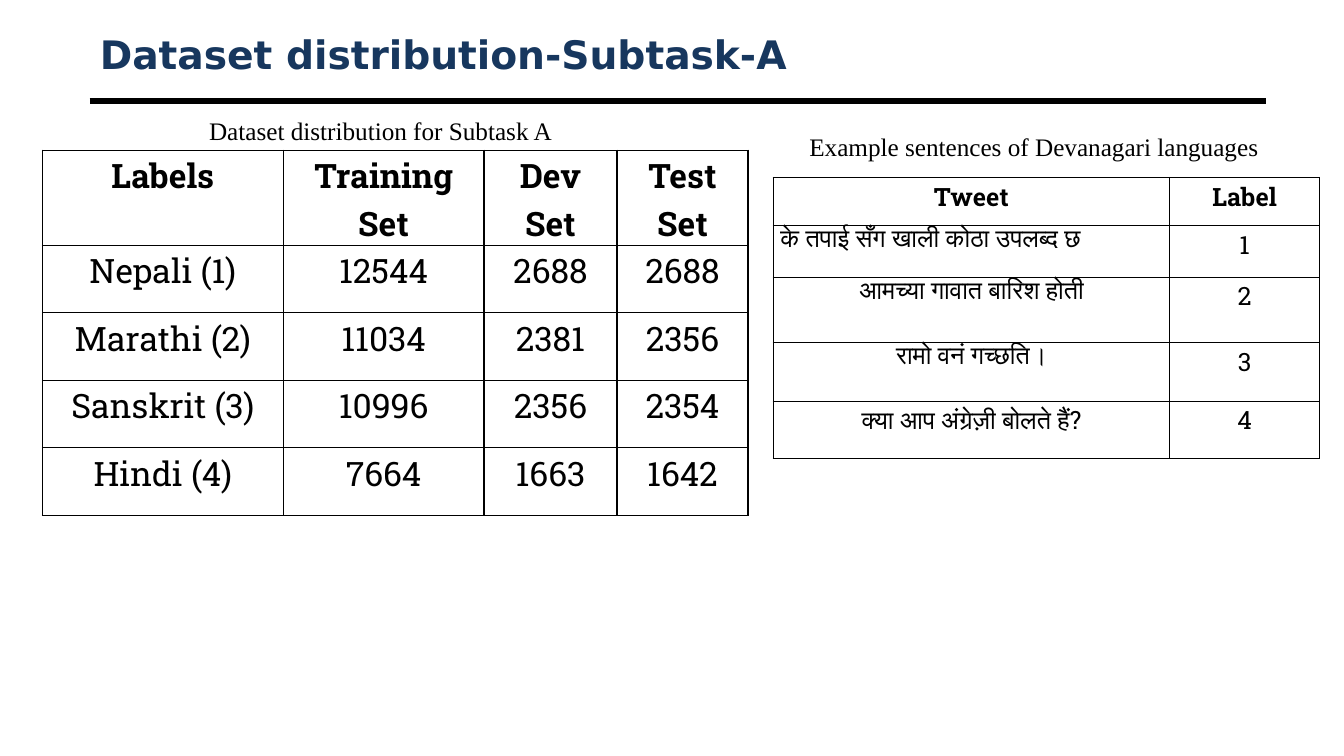
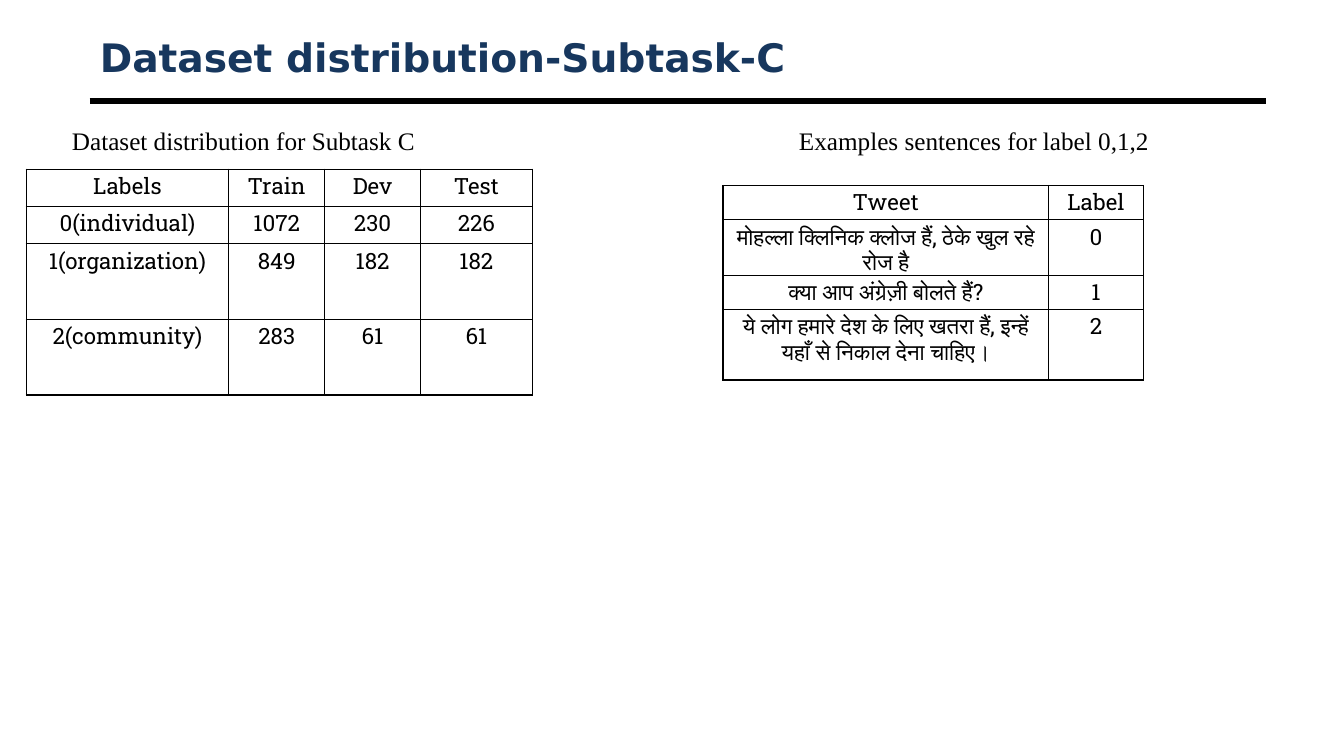
"""Build two slides that show how the datasets are split."""
from dataclasses import dataclass
from typing import Any

from lxml import etree
from pptx import Presentation
from pptx.dml.color import RGBColor
from pptx.enum.shapes import MSO_CONNECTOR
from pptx.enum.text import MSO_ANCHOR, MSO_AUTO_SIZE, PP_ALIGN
from pptx.oxml import parse_xml
from pptx.oxml.ns import nsdecls, qn
from pptx.util import Inches, Pt

STRAIGHT = MSO_CONNECTOR.STRAIGHT
MIDDLE = MSO_ANCHOR.MIDDLE
FIXED, GROW = MSO_AUTO_SIZE.NONE, MSO_AUTO_SIZE.SHAPE_TO_FIT_TEXT
LEFT, CENTER = PP_ALIGN.LEFT, PP_ALIGN.CENTER

BLACK = RGBColor(0x00, 0x00, 0x00)
NAVY = RGBColor(0x17, 0x37, 0x5E)

HEAD = {"name": "DejaVu Sans", "size": Pt(28), "bold": True}
NOTE = {"name": "Times New Roman", "size": Pt(18)}
CELL = {"name": "Roboto Slab", "bold": False}
LOOSE = {"alignment": CENTER, "line_spacing": 1.07, "space_after": Pt(8)}
PLAIN = {"alignment": CENTER}
EDGES = ("lnL", "lnR", "lnT", "lnB")


@dataclass(frozen=True)
class Box:
    """Place of an item in inches."""
    left: float
    top: float
    width: float
    height: float

    def emu(self) -> list[int]:
        """Give the four lengths in slide units."""
        return [Inches(n) for n in (self.left, self.top, self.width, self.height)]


@dataclass(frozen=True)
class Grid:
    """Table with its sizes, text and style."""
    left: float
    top: float
    cols: tuple[float, ...]
    rows: tuple[float, ...]
    data: tuple[tuple[str, ...], ...]
    size: int
    inset: float = 0.07
    bold: bool = False
    flush: tuple[tuple[int, int], ...] = ()


@dataclass(frozen=True)
class Label:
    """Caption above a table."""
    text: str
    box: Box
    para: dict[str, Any]


@dataclass(frozen=True)
class Page:
    """Content of one slide."""
    title: str
    space: float
    grids: tuple[Grid, ...]
    labels: tuple[Label, ...]


PAGES = (
    Page(
        "Dataset distribution-Subtask-A", 0.9,
        (
            Grid(0.42, 1.49, (2.39, 1.99, 1.32, 1.3), (0.77,) + (0.67,) * 4, (
                ("Labels", "Training Set", "Dev Set", "Test Set"),
                ("Nepali (1)", "12544", "2688", "2688"),
                ("Marathi (2)", "11034", "2381", "2356"),
                ("Sanskrit (3)", "10996", "2356", "2354"),
                ("Hindi (4)", "7664", "1663", "1642"),
            ), 24, inset=0.23, bold=True),
            Grid(7.67, 1.76, (3.93, 1.49), (0.48, 0.51, 0.65, 0.58, 0.57), (
                ("Tweet", "Label"),
                ("के तपाई सँग खाली कोठा उपलब्द छ", "1"),
                ("आमच्या गावात बारिश होती", "2"),
                ("रामो वनं गच्छति।", "3"),
                ("क्या आप अंग्रेज़ी बोलते हैं?", "4"),
            ), 18, bold=True, flush=((1, 0),)),
        ),
        (
            Label("Dataset distribution for Subtask A", Box(0.44, 1.09, 6.67, 0.4), PLAIN),
            Label("Example sentences of Devanagari languages",
                  Box(6.92, 1.23, 6.67, 0.41), LOOSE),
        ),
    ),
    Page(
        "Dataset distribution-Subtask-C", 1.0,
        (
            Grid(0.26, 1.68, (2.01, 0.95, 0.95, 1.11), (0.37, 0.37, 0.75, 0.75), (
                ("Labels", "Train", "Dev", "Test"),
                ("0(individual)", "1072", "230", "226"),
                ("1(organization)", "849", "182", "182"),
                ("2(community)", "283", "61", "61"),
            ), 16),
            Grid(7.17, 1.84, (3.23, 0.94), (0.34, 0.45, 0.34, 0.7), (
                ("Tweet", "Label"),
                ("मोहल्ला क्लिनिक क्लोज हैं, ठेके खुल रहे रोज है", "0"),
                ("क्या आप अंग्रेज़ी बोलते हैं?", "1"),
                ("ये लोग हमारे देश के लिए खतरा हैं, इन्हें यहाँ से निकाल देना चाहिए।", "2"),
            ), 16),
        ),
        (
            Label("Dataset distribution for Subtask C", Box(0.26, 1.17, 4.31, 0.41), LOOSE),
            Label("Examples sentences for label 0,1,2", Box(7.62, 1.17, 4.08, 0.41), LOOSE),
        ),
    ),
)


def apply(item: Any, form: dict[str, Any]) -> None:
    """Set each format value on the item."""
    for key, value in form.items():
        setattr(item, key, value)


def write(frame: Any, text: str, font: dict[str, Any], para: dict[str, Any],
          color: RGBColor = BLACK) -> None:
    """Fill a text frame with one styled line of text."""
    line = frame.paragraphs[0]
    apply(line, para)
    run = line.add_run()
    run.text = text
    apply(run.font, font)
    run.font.color.rgb = color


def border(cell: Any) -> None:
    """Rule all four sides of a cell."""
    props = cell._tc.get_or_add_tcPr()
    for edge in EDGES:
        props.append(parse_xml(
            f'<a:{edge} {nsdecls("a")} w="{Pt(1)}"><a:solidFill>'
            f'<a:srgbClr val="{BLACK}"/></a:solidFill></a:{edge}>'))


def add_grid(slide: Any, grid: Grid) -> None:
    """Draw a ruled table."""
    box = Box(grid.left, grid.top, sum(grid.cols), sum(grid.rows))
    table = slide.shapes.add_table(len(grid.rows), len(grid.cols), *box.emu()).table
    apply(table, {"first_row": False, "horz_banding": False})
    for col, width in zip(table.columns, grid.cols):
        col.width = Inches(width)
    side = Inches(grid.inset)
    pad = {"margin_left": side, "margin_right": side, "margin_top": 0, "margin_bottom": 0}
    for y, (row, height) in enumerate(zip(table.rows, grid.rows)):
        row.height = Inches(height)
        font = CELL | {"size": Pt(grid.size), "bold": grid.bold and y == 0}
        for x, text in enumerate(grid.data[y]):
            cell = table.cell(y, x)
            border(cell)
            cell.fill.background()
            apply(cell, pad)
            align = LEFT if (y, x) in grid.flush else CENTER
            write(cell.text_frame, text, font, LOOSE | {"alignment": align})


def add_label(slide: Any, label: Label) -> None:
    """Draw a caption."""
    frame = slide.shapes.add_textbox(*label.box.emu()).text_frame
    apply(frame, {"word_wrap": True, "auto_size": GROW})
    write(frame, label.text, NOTE, label.para)


def set_base(layout: Any, slide: Any) -> None:
    """Give the layout its title place and the rule below it."""
    for shape in layout.placeholders:
        if shape.placeholder_format.idx == 0:
            left, top, width, height = Box(0.89, 0.3, 11.67, 0.53).emu()
            apply(shape, {"left": left, "top": top, "width": width, "height": height})
    rule = slide.shapes.add_connector(
        STRAIGHT, Inches(0.89), Inches(1), Inches(12.56), Inches(1))
    rule.line.width = Pt(4.5)
    rule.line.color.rgb = BLACK
    etree.SubElement(rule.element.spPr, qn("a:effectLst"))
    layout.shapes.element.append(rule.element)


def add_page(slide: Any, page: Page) -> None:
    """Fill one slide."""
    frame = slide.shapes.title.text_frame
    apply(frame, {"vertical_anchor": MIDDLE, "auto_size": FIXED, "word_wrap": True})
    write(frame, page.title, HEAD, {"alignment": LEFT, "line_spacing": page.space}, NAVY)
    for grid in page.grids:
        add_grid(slide, grid)
    for label in page.labels:
        add_label(slide, label)


def main() -> None:
    """Build and save the deck."""
    deck = Presentation()
    apply(deck, {"slide_width": Inches(13.33), "slide_height": Inches(7.5)})
    layout = deck.slide_layouts[5]
    slides = [deck.slides.add_slide(layout) for _ in PAGES]
    set_base(layout, slides[0])
    for slide, page in zip(slides, PAGES):
        add_page(slide, page)
    deck.save("out.pptx")


if __name__ == "__main__":
    main()
